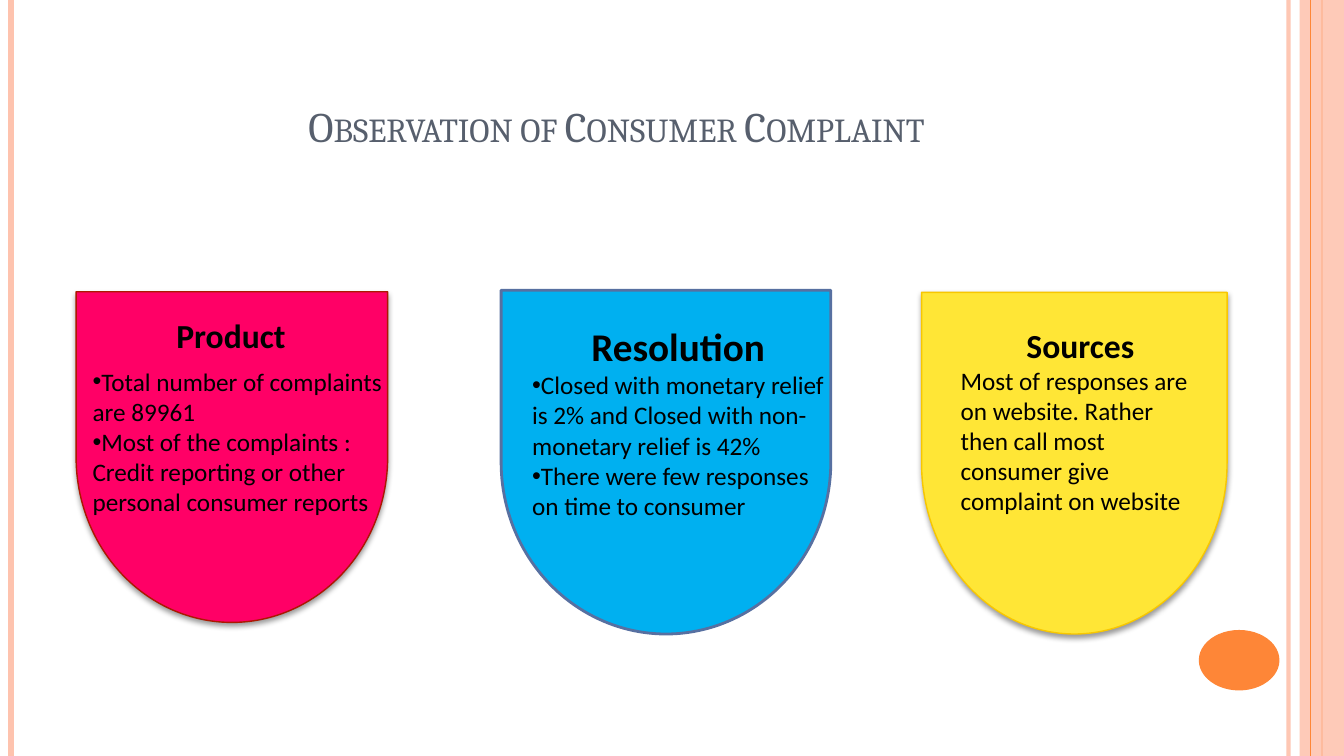
from lxml.etree import SubElement
from pptx import Presentation
from pptx.dml.color import RGBColor
from pptx.enum.shapes import MSO_CONNECTOR, MSO_SHAPE
from pptx.enum.text import MSO_ANCHOR, MSO_AUTO_SIZE, PP_ALIGN
from pptx.oxml import parse_xml
from pptx.oxml.ns import nsdecls, qn
from pptx.util import Inches, Pt

COLORS = {
    "peach": "FEC3AE", "orange": "FE8637", "slate": "575F6D", "black": "000000",
    "pink": "FF0066", "red": "AC1800", "blue": "00B0F0", "steel": "5770A1",
    "yellow": "FFE636", "gold": "F8C700",
}


def rgb(name):
    return RGBColor.from_string(COLORS[name])


def set_alpha(fill, percent):
    color = next(fill.iter(qn("a:srgbClr")))
    SubElement(color, qn("a:alpha"), val=str(percent * 1000))


def add_rule(s, x, color, width, alpha=None):
    line = s.shapes.add_connector(
        MSO_CONNECTOR.STRAIGHT, Inches(x), Inches(0), Inches(x), Inches(7.5))
    line.line.color.rgb = rgb(color)
    line.line.width = Pt(width)
    sp_pr = line._element.spPr
    if alpha:
        set_alpha(sp_pr, alpha)
    SubElement(sp_pr, qn("a:effectLst"))


def add_filled(s, kind, box, fill, line=None, width=1):
    sp = s.shapes.add_shape(kind, *map(Inches, box))
    sp.shadow.inherit = False
    sp.fill.solid()
    sp.fill.fore_color.rgb = rgb(fill)
    if line:
        sp.line.color.rgb = rgb(line)
        sp.line.width = Pt(width)
    else:
        sp.line.fill.background()
    return sp


def add_shadow(sp):
    effects = sp._element.spPr.find(qn("a:effectLst"))
    effects.append(parse_xml(
        f'<a:outerShdw {nsdecls("a")} blurRad="{Pt(4)}" dist="{Pt(2)}" '
        'dir="5400000" rotWithShape="0"><a:srgbClr val="000000">'
        '<a:alpha val="40000"/></a:srgbClr></a:outerShdw>'))


def add_shield(s, box, fill, line, width=1, shadow=True):
    sp = add_filled(s, MSO_SHAPE.FLOWCHART_DELAY, box, fill, line, width)
    sp.rotation = 90
    if shadow:
        add_shadow(sp)


def add_run(p, text, size, color="black", font="Calibri", bold=False):
    r = p.add_run()
    r.text = text
    r.font.name = font
    r.font.size = Pt(size)
    r.font.bold = bold
    r.font.color.rgb = rgb(color)
    return r


def add_bullet(p):
    p_pr = p._p.get_or_add_pPr()
    p_pr.set("marL", "0")
    p_pr.set("indent", "0")
    SubElement(p_pr, qn("a:buFont"), typeface="Arial")
    SubElement(p_pr, qn("a:buChar"), char="•")


def add_text(s, box, heading=None, size=24, lines=(), bulleted=True):
    tf = s.shapes.add_textbox(*map(Inches, box)).text_frame
    tf.word_wrap = True
    tf.auto_size = MSO_AUTO_SIZE.SHAPE_TO_FIT_TEXT
    p = tf.paragraphs[0]
    if heading:
        p.alignment = PP_ALIGN.CENTER if lines else PP_ALIGN.LEFT
        add_run(p, heading, size, bold=True)
    for i, text in enumerate(lines):
        if heading or i:
            p = tf.add_paragraph()
        if bulleted:
            add_bullet(p)
        add_run(p, text, 18)


def add_title(s, text):
    title = s.shapes.title
    title.left, title.top = Inches(0.67), Inches(0.3)
    title.width, title.height = Inches(10.89), Inches(1.25)
    tf = title.text_frame
    tf.vertical_anchor = MSO_ANCHOR.BOTTOM
    p = tf.paragraphs[0]
    p.alignment = PP_ALIGN.CENTER
    r = add_run(p, text, 30, "slate", "Cambria")
    r._r.get_or_add_rPr().set("cap", "small")


def add_frame(s):
    add_rule(s, 12.78, "peach", 3, 93)
    add_rule(s, 0.11, "peach", 4.5)
    add_rule(s, 13.11, "orange", 1.5)
    band = add_filled(s, MSO_SHAPE.RECTANGLE, (12.89, 0, 0.44, 7.5), "peach")
    set_alpha(band._element.spPr, 87)
    add_rule(s, 13, "orange", 0.75)
    add_filled(s, MSO_SHAPE.OVAL, (11.89, 6.25, 0.8, 0.6), "orange")


def main():
    prs = Presentation()
    prs.slide_width, prs.slide_height = Inches(13.33), Inches(7.5)
    s = prs.slides.add_slide(prs.slide_layouts[5])
    add_frame(s)
    add_title(s, "Observation of Consumer Complaint")

    add_shield(s, (0.66, 2.99, 3.28, 3.09), "pink", "red")
    add_shield(s, (4.9, 2.95, 3.41, 3.27), "blue", "steel", 2, shadow=False)
    add_shield(s, (8.96, 3.08, 3.39, 3.03), "yellow", "gold")

    add_text(s, (0.82, 3.58, 3.17, 1.92), lines=[
        "Total number of complaints are 89961",
        "Most of the complaints : Credit reporting or other personal consumer reports",
    ])
    add_text(s, (1.65, 3.08, 1.85, 0.5), "Product")
    add_text(s, (5.18, 3.15, 3.09, 2.09), "Resolution", 28, [
        "Closed with monetary relief is 2% and Closed with non-monetary relief is 42%",
        "There were few responses on time to consumer",
    ])
    add_text(s, (9.43, 3.17, 2.57, 2.32), "Sources", lines=[
        "Most of responses are on website. Rather then call most consumer give "
        "complaint on website",
    ], bulleted=False)
    prs.save("out.pptx")


if __name__ == "__main__":
    main()
